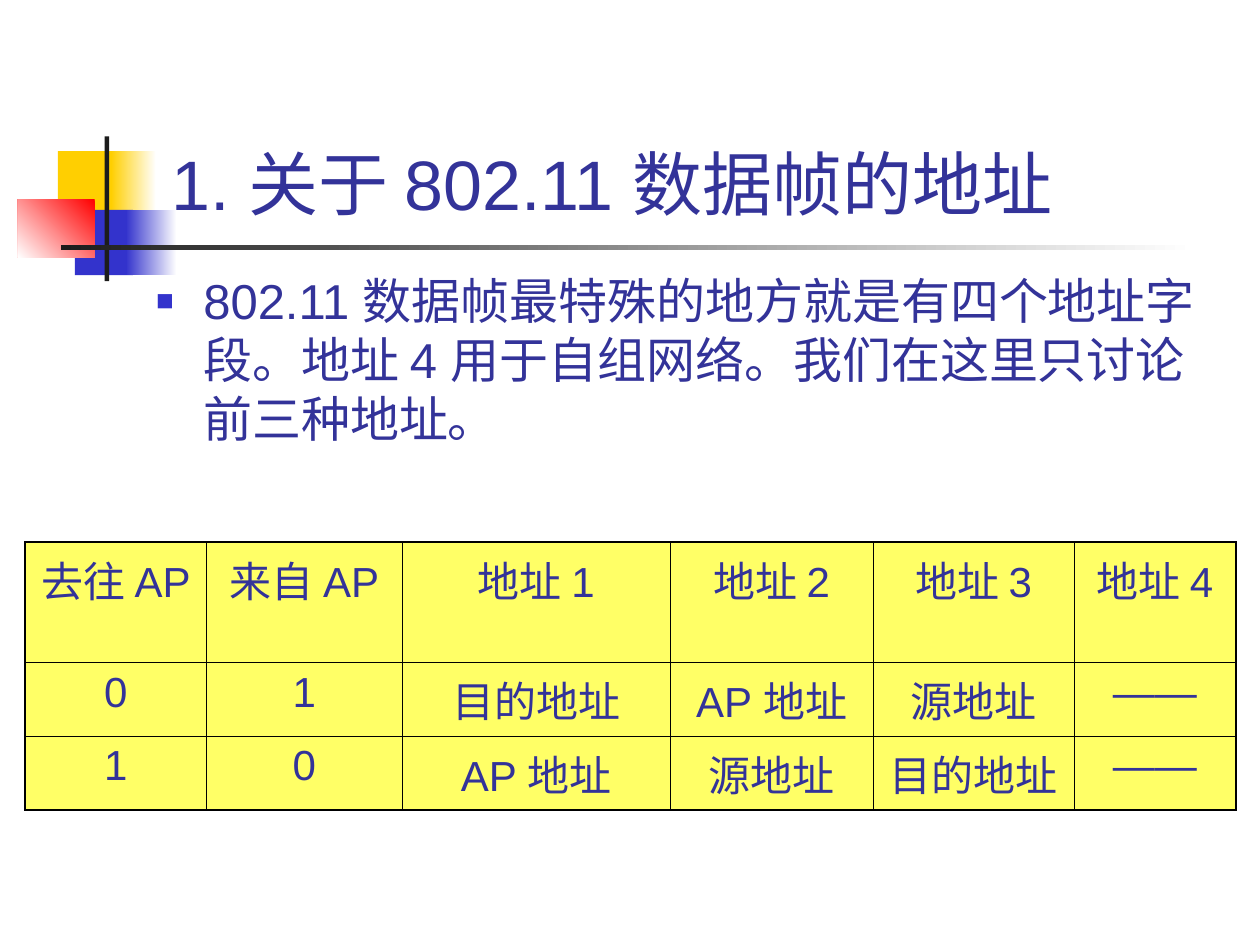
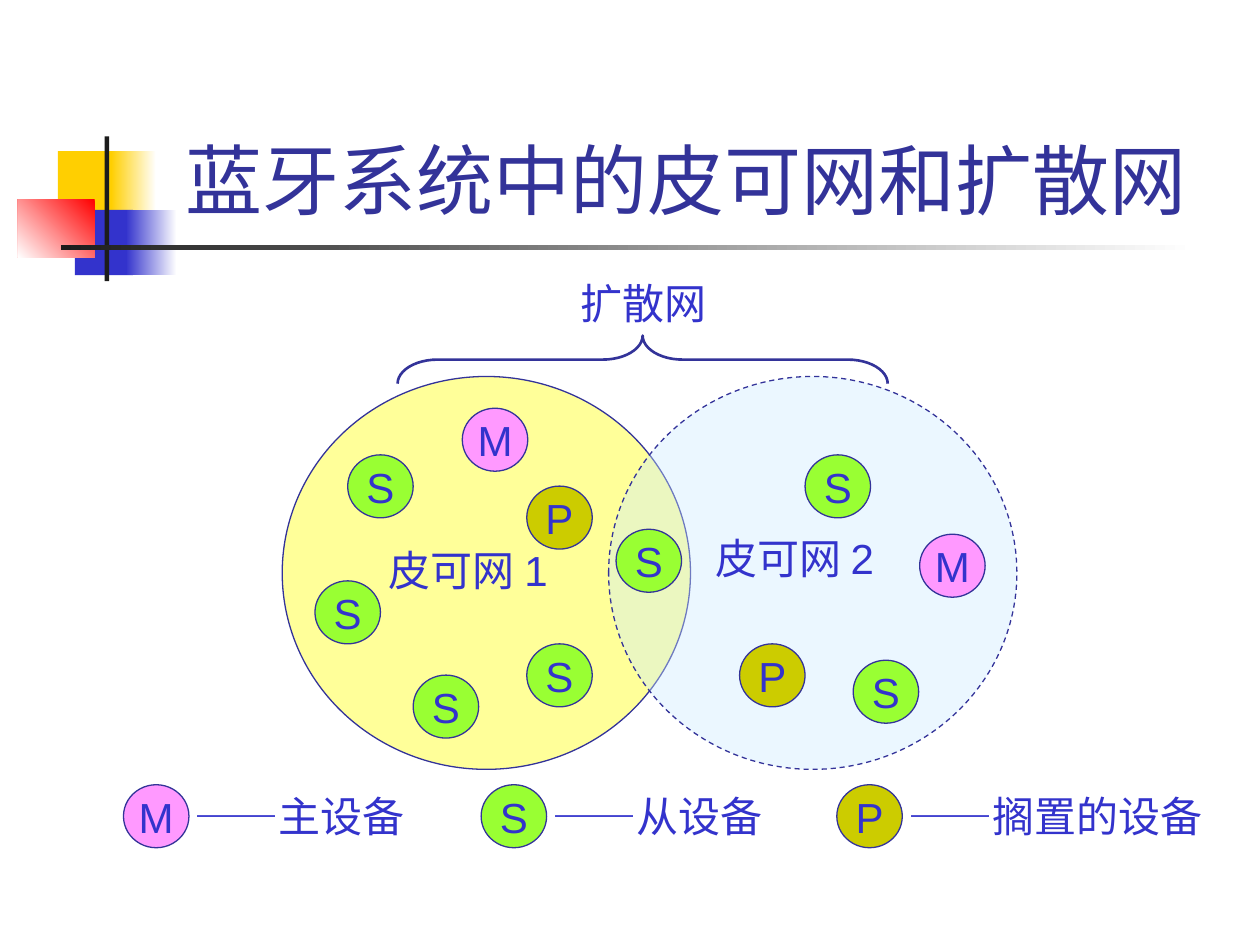
"""Build two slides on 802.11 frame addresses and on piconets and scatternets."""
from lxml import etree
from pptx import Presentation
from pptx.dml.color import RGBColor
from pptx.enum import dml, lang, shapes, text
from pptx.oxml.ns import qn
from pptx.util import Cm, Pt

NAVY = RGBColor(0x33, 0x33, 0x99)
BLUE = RGBColor(0x33, 0x33, 0xCC)
GOLD = RGBColor(0xFF, 0xCF, 0x01)
RED = RGBColor(0xFF, 0x00, 0x00)
WHITE = RGBColor(0xFF, 0xFF, 0xFF)
INK = RGBColor(0x1C, 0x1C, 0x1C)
BLACK = RGBColor(0x00, 0x00, 0x00)
CELL_YELLOW = RGBColor(0xFF, 0xFF, 0x66)
PALE_YELLOW = RGBColor(0xFF, 0xFF, 0x99)
PALE_BLUE = RGBColor(0xCC, 0xEC, 0xFF)
PINK = RGBColor(0xFF, 0x99, 0xFF)
GREEN = RGBColor(0x99, 0xFF, 0x33)
OLIVE = RGBColor(0xCC, 0xCC, 0x00)

RECTANGLE = shapes.MSO_SHAPE.RECTANGLE
OVAL = shapes.MSO_SHAPE.OVAL
CENTER = text.PP_ALIGN.CENTER

ORNAMENT = [
    ((1.17, 3.05, 1.22, 1.32), GOLD),
    ((2.24, 3.05, 0.91, 1.32), (WHITE, GOLD, 180)),
    ((1.51, 4.23, 1.17, 1.32), BLUE),
    ((2.54, 4.23, 1.02, 1.32), (WHITE, BLUE, 180)),
    ((0.36, 4.02, 1.55, 1.17), (RED, WHITE, 225)),
    ((2.11, 2.75, 0.09, 2.92), INK),
    ((1.23, 4.94, 22.86, 0.1), (WHITE, INK, 180)),
]
TITLE_BOX = (3.2, 0.6, 21.64, 4.06)

FRAME_TITLE = "1. 关于 802.11 数据帧的地址"
FRAME_BODY = "802.11 数据帧最特殊的地方就是有四个地址字段。地址 4 用于自组网络。我们在这里只讨论前三种地址。"
BODY_BOX = (2.9, 5.33, 21.59, 3.99)
ADDRESSES = [
    ["去往 AP", "来自 AP", "地址 1", "地址 2", "地址 3", "地址 4"],
    ["0", "1", "目的地址", "AP 地址", "源地址", "——"],
    ["1", "0", "AP 地址", "源地址", "目的地址", "——"],
]
COLUMN_WIDTHS = [3.65, 3.95, 5.4, 4.09, 4.05, 3.26]
ROW_HEIGHTS = [2.43, 1.49, 1.48]
TABLE_CORNER = (0.51, 10.93)

NET_TITLE = "蓝牙系统中的皮可网和扩散网 "
DEVICE_FILLS = {"M": PINK, "S": GREEN, "P": OLIVE}
DEVICE_SIZE = (1.32, 1.27)
DEVICES = [
    ("M", 9.32, 8.23), ("M", 18.54, 10.77), ("S", 6.35, 11.71), ("S", 7.01, 9.17),
    ("P", 14.91, 12.98), ("S", 12.42, 10.67), ("S", 10.62, 12.98), ("S", 8.33, 13.61),
    ("S", 17.2, 13.31), ("S", 16.23, 9.17), ("P", 10.62, 9.8),
]
PICONET_1 = (5.69, 7.59, 8.23, 7.92)
PICONET_2 = (12.27, 7.59, 8.23, 7.92)
BRACE_BOX = (12.47, 2.31, 0.97, 9.88)
LABEL_HEIGHT = 1.27
LABELS = [
    ("皮可网 2", 14.17, 10.62, 3.91),
    ("扩散网", 11.46, 5.46, 3.1),
    ("皮可网 1", 7.59, 10.85, 3.91),
]
LEGEND_TOP = 15.82
LEGEND_GAP = 1.19
LEGEND = [
    ("M", "——主设备", 2.49, 4.85),
    ("S", "——从设备", 9.7, 4.85),
    ("P", "——搁置的设备", 16.87, 6.6),
]


def write(frame, content, size=24, color=BLUE, font="Arial", align=None, anchor=None,
          wrap=None, before=None):
    """Put one formatted paragraph in a text frame and return it."""
    if anchor is not None:
        frame.vertical_anchor = anchor
    if wrap is not None:
        frame.word_wrap = wrap
    paragraph = frame.paragraphs[0]
    paragraph.alignment = align
    if before is not None:
        paragraph.space_before = Pt(before)
    run = paragraph.add_run()
    run.text = content
    run.font.size = Pt(size)
    run.font.name = font
    run.font.color.rgb = color
    run.font.language_id = lang.MSO_LANGUAGE_ID.SIMPLIFIED_CHINESE
    return paragraph


def add_shape(slide, kind, box, fill=None, line=None, width=0.75):
    """Add a preset shape with a plain, gradient or empty fill."""
    shape = slide.shapes.add_shape(kind, *map(Cm, box))
    shape.shadow.inherit = False
    if fill is None:
        shape.fill.background()
    elif isinstance(fill, RGBColor):
        shape.fill.solid()
        shape.fill.fore_color.rgb = fill
    else:
        *colors, angle = fill
        shape.fill.gradient()
        shape.fill.gradient_angle = angle
        for position, (stop, color) in enumerate(zip(shape.fill.gradient_stops, colors)):
            stop.color.rgb = color
            stop.position = position
    if line is None:
        shape.line.fill.background()
    else:
        shape.line.color.rgb = line
        shape.line.width = Pt(width)
    return shape


def add_label(slide, content, box, **style):
    """Add a one-line text box that grows with its text."""
    frame = slide.shapes.add_textbox(*map(Cm, box)).text_frame
    frame.auto_size = text.MSO_AUTO_SIZE.SHAPE_TO_FIT_TEXT
    write(frame, content, wrap=False, **style)


def add_device(slide, letter, left, top):
    """Add a lettered device circle."""
    device = add_shape(slide, OVAL, (left, top, *DEVICE_SIZE), DEVICE_FILLS[letter], NAVY)
    write(device.text_frame, letter, align=CENTER, anchor=text.MSO_ANCHOR.MIDDLE, wrap=False)


def add_slide(presentation, title, **style):
    """Add a slide with the shared ornament and title."""
    slide = presentation.slides.add_slide(presentation.slide_layouts[6])
    for box, fill in ORNAMENT:
        add_shape(slide, RECTANGLE, box, fill)
    frame = slide.shapes.add_textbox(*map(Cm, TITLE_BOX)).text_frame
    write(frame, title, color=NAVY, anchor=text.MSO_ANCHOR.BOTTOM, wrap=True, **style)
    return slide


def add_bullet(paragraph):
    """Give a paragraph a small square bullet with a hanging indent."""
    properties = paragraph._p.get_or_add_pPr()
    properties.set("marL", str(Cm(0.95)))
    properties.set("indent", str(-Cm(0.95)))
    color = etree.SubElement(properties, qn("a:buClr"))
    etree.SubElement(color, qn("a:srgbClr"), val=str(BLUE))
    etree.SubElement(properties, qn("a:buSzPct"), val="60000")
    etree.SubElement(properties, qn("a:buFont"), typeface="Arial")
    etree.SubElement(properties, qn("a:buChar"), char="■")


def set_borders(cell, widths):
    """Draw black cell borders; widths maps a side letter to points."""
    properties = cell._tc.get_or_add_tcPr()
    for index, side in enumerate("LRTB"):
        border = etree.Element(qn(f"a:ln{side}"), w=str(Pt(widths[side])))
        fill = etree.SubElement(border, qn("a:solidFill"))
        etree.SubElement(fill, qn("a:srgbClr"), val=str(BLACK))
        properties.insert(index, border)


def add_address_table(slide):
    """Add the address table with a heavier outer frame."""
    rows, columns = len(ROW_HEIGHTS), len(COLUMN_WIDTHS)
    size = (sum(COLUMN_WIDTHS), sum(ROW_HEIGHTS))
    table = slide.shapes.add_table(rows, columns, *map(Cm, TABLE_CORNER + size)).table
    table.first_row = table.horz_banding = False
    for column, width in zip(table.columns, COLUMN_WIDTHS):
        column.width = Cm(width)
    for row, height in zip(table.rows, ROW_HEIGHTS):
        row.height = Cm(height)
    for r, entries in enumerate(ADDRESSES):
        for c, entry in enumerate(entries):
            cell = table.cell(r, c)
            cell.fill.solid()
            cell.fill.fore_color.rgb = CELL_YELLOW
            write(cell.text_frame, entry, color=NAVY, align=CENTER, before=6)
            outer = {"L": c == 0, "R": c == columns - 1, "T": r == 0, "B": r == rows - 1}
            set_borders(cell, {side: 1.08 if edge else 0.45 for side, edge in outer.items()})


def build_frame_slide(presentation):
    """Build the slide on data frame addresses."""
    slide = add_slide(presentation, FRAME_TITLE, size=40)
    frame = slide.shapes.add_textbox(*map(Cm, BODY_BOX)).text_frame
    add_bullet(write(frame, FRAME_BODY, size=28, color=NAVY, wrap=True, before=7))
    add_address_table(slide)


def build_net_slide(presentation):
    """Build the slide on piconets and the scatternet."""
    slide = add_slide(presentation, NET_TITLE, size=44, align=CENTER)
    add_shape(slide, OVAL, PICONET_1, PALE_YELLOW, NAVY)
    second = add_shape(slide, OVAL, PICONET_2, PALE_BLUE, NAVY)
    second.line.dash_style = dml.MSO_LINE.DASH
    color = second._element.spPr.find(f"{qn('a:solidFill')}/{qn('a:srgbClr')}")
    etree.SubElement(color, qn("a:alpha"), val="39000")
    for device in DEVICES:
        add_device(slide, *device)
    brace = add_shape(slide, shapes.MSO_SHAPE.LEFT_BRACE, BRACE_BOX, None, NAVY, 1.5)
    brace.rotation = 90
    brace.adjustments[0] = 0.83
    for content, left, top, width in LABELS:
        add_label(slide, content, (left, top, width, LABEL_HEIGHT))
    for letter, meaning, left, width in LEGEND:
        add_device(slide, letter, left, LEGEND_TOP)
        box = (left + LEGEND_GAP, LEGEND_TOP, width, LABEL_HEIGHT)
        add_label(slide, meaning, box, font="Karla")


def main():
    """Build and save the presentation."""
    presentation = Presentation()
    presentation.slide_width, presentation.slide_height = Cm(25.4), Cm(19.05)
    build_frame_slide(presentation)
    build_net_slide(presentation)
    presentation.save("out.pptx")


if __name__ == "__main__":
    main()
